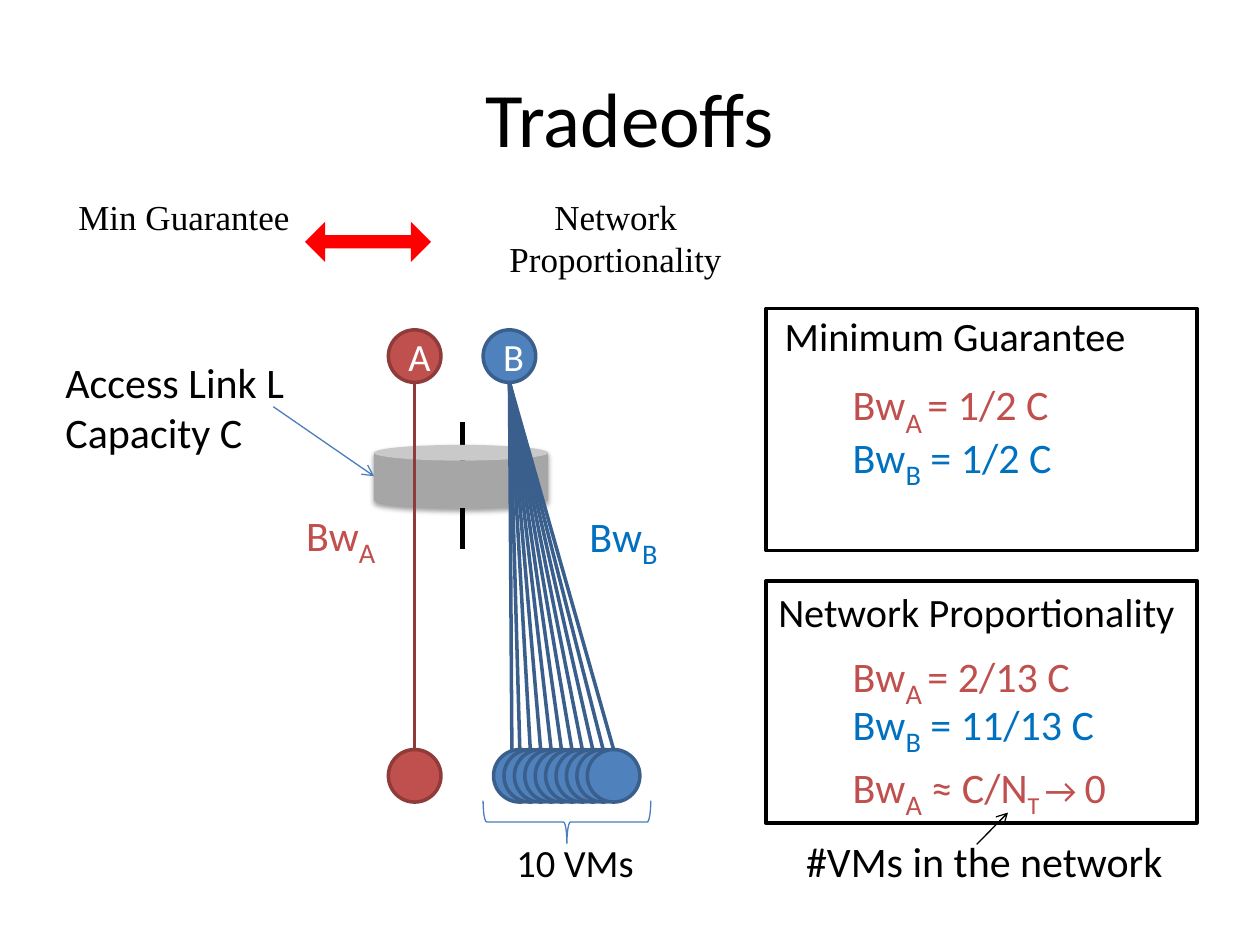
"""Build the Tradeoffs slide on sharing an access link between two tenants."""
from lxml.etree import SubElement
from pptx import Presentation
from pptx.dml.color import RGBColor
from pptx.enum.shapes import MSO_CONNECTOR, MSO_SHAPE
from pptx.enum.text import MSO_ANCHOR, PP_ALIGN
from pptx.oxml.ns import qn
from pptx.util import Cm, Pt

BLACK = RGBColor(0x00, 0x00, 0x00)
WHITE = RGBColor(0xFF, 0xFF, 0xFF)
RED = RGBColor(0xC0, 0x50, 0x4D)
DARK_RED = RGBColor(0x8E, 0x3B, 0x39)
BLUE = RGBColor(0x4F, 0x81, 0xBD)
DARK_BLUE = RGBColor(0x3A, 0x5F, 0x8C)
THIN_BLUE = RGBColor(0x4B, 0x7E, 0xBC)
TEXT_BLUE = RGBColor(0x00, 0x70, 0xC0)
GRAY = RGBColor(0xA6, 0xA6, 0xA6)
ARROW_RED = RGBColor(0xFF, 0x00, 0x00)

BW_A = [("Bw", 24, 0), ("A", 28, -25)]
BW_B = [("Bw", 24, 0), ("B", 28, -25)]
GAP = (" ", 24, -25)

SERIF = {"size": 20, "font": "Times New Roman", "align": PP_ALIGN.CENTER}
CAPTIONS = [
    ("Tradeoffs", (1.27, 0.76, 22.86, 3.18),
     {"size": 44, "align": PP_ALIGN.CENTER, "anchor": MSO_ANCHOR.MIDDLE}),
    ("Min Guarantee", (1.27, 3.81, 4.88, 1.96), SERIF),
    ("Network Proportionality", (8.89, 3.81, 7.04, 1.96), SERIF),
    ("Access Link L\nCapacity C", (1.07, 7.06, 5.28, 2.31), {}),
    ("10 VMs", (10.16, 16.79, 2.97, 1.19), {"size": 22}),
    ("#VMs in the network", (16, 16.71, 8.97, 1.27), {}),
]
LINK_LABELS = [
    (BW_A, (5.92, 10.01, 1.98, 1.45), RED),
    (BW_B, (11.63, 10.03, 1.96, 1.45), TEXT_BLUE),
]
POLICIES = [
    ("Minimum Guarantee", 6.22, (15.57, 6.15, 8.33, 1.24), [
        (BW_A + [GAP, ("= 1/2 C", 24, 0)], 7.37, 4.55, RED),
        (BW_B + [(" = 1/2 C", 24, 0)], 8.43, 4.6, TEXT_BLUE),
    ]),
    ("Network Proportionality", 11.71, (15.44, 11.71, 8.76, 1.24), [
        (BW_A + [GAP, ("= 2/13 C", 24, 0)], 12.85, 4.98, RED),
        (BW_B + [(" = 11/13 C", 24, 0)], 13.82, 5.46, TEXT_BLUE),
        (BW_A + [(" ≈ C/N", 24, 0), ("T ", 24, -25), ("→ ", 20, 0), ("0", 24, 0)],
         15.09, 6.78, RED),
    ]),
]
POLICY_LEFT, POLICY_WIDTH, POLICY_HEIGHT = 15.44, 8.69, 4.88
FORMULA_LEFT, FORMULA_HEIGHT = 16.94, 1.27

NODE = 1.06
SENDER_TOP, RECEIVER_TOP = 6.65, 15.11
A_LEFT, B_LEFT = 7.83, 9.74
VM_COUNT, VM_LEFT, VM_STEP = 10, 9.95, 0.21


def write(frame, content, size=24, font="Calibri", color=BLACK,
          align=PP_ALIGN.LEFT, anchor=MSO_ANCHOR.TOP, wrap=True):
    frame.word_wrap = wrap
    frame.vertical_anchor = anchor
    lines = ([[(line, size, 0)] for line in content.split("\n")]
             if isinstance(content, str) else [content])
    for index, line in enumerate(lines):
        paragraph = frame.add_paragraph() if index else frame.paragraphs[0]
        paragraph.alignment = align
        for words, points, baseline in line:
            run = paragraph.add_run()
            run.text = words
            run.font.size = Pt(points)
            run.font.name = font
            run.font.color.rgb = color
            if baseline:
                run.font._element.set("baseline", str(baseline * 1000))


def add_label(slide, content, box, **style):
    write(slide.shapes.add_textbox(*map(Cm, box)).text_frame, content, **style)


def add_figure(slide, kind, box, fill=None, line=None, width=2):
    figure = slide.shapes.add_shape(kind, *map(Cm, box))
    figure.shadow.inherit = False
    if fill is None:
        figure.fill.background()
    else:
        figure.fill.solid()
        figure.fill.fore_color.rgb = fill
    if line is None:
        figure.line.fill.background()
    else:
        figure.line.color.rgb = line
        figure.line.width = Pt(width)
    return figure


def add_line(slide, start, end, color, width=2, arrow=False):
    line = slide.shapes.add_connector(
        MSO_CONNECTOR.STRAIGHT, *map(Cm, start + end))
    line.line.color.rgb = color
    line.line.width = Pt(width)
    if arrow:
        SubElement(line.line._get_or_add_ln(), qn("a:tailEnd"), type="arrow")
    SubElement(line._element.spPr, qn("a:effectLst"))


def add_node(slide, left, top, fill, line, name=""):
    node = add_figure(slide, MSO_SHAPE.OVAL, (left, top, NODE, NODE), fill, line)
    if name:
        write(node.text_frame, name, size=22, color=WHITE,
              align=PP_ALIGN.CENTER, anchor=MSO_ANCHOR.MIDDLE)


def add_access_link(slide):
    add_line(slide, (9.32, 8.51), (9.32, 11.07), BLACK, 3)
    link = add_figure(slide, MSO_SHAPE.CAN, (7.54, 8.97, 3.51, 1.27), GRAY)
    effects = link._element.spPr.find(qn("a:effectLst"))
    shadow = SubElement(effects, qn("a:outerShdw"), blurRad=str(Pt(3.1)),
                        dist=str(Pt(1.6)), dir="5400000", rotWithShape="0")
    shade = SubElement(shadow, qn("a:srgbClr"), val="000000")
    SubElement(shade, qn("a:alpha"), val="38000")


def add_tenants(slide):
    sender_bottom = SENDER_TOP + NODE
    a_center, b_center = A_LEFT + NODE / 2, B_LEFT + NODE / 2
    vm_lefts = [VM_LEFT + VM_STEP * index for index in range(VM_COUNT)]
    add_line(slide, (a_center, sender_bottom), (a_center, RECEIVER_TOP), DARK_RED)
    add_line(slide, (b_center, sender_bottom), (10.32, 15.27), DARK_BLUE)
    add_node(slide, A_LEFT, SENDER_TOP, RED, DARK_RED, "A")
    add_node(slide, B_LEFT, SENDER_TOP, BLUE, DARK_BLUE, "B")
    add_node(slide, A_LEFT, RECEIVER_TOP, RED, DARK_RED)
    for left in vm_lefts:
        add_node(slide, left, RECEIVER_TOP, BLUE, DARK_BLUE)
    for left in vm_lefts:
        add_line(slide, (b_center, sender_bottom),
                 (left + NODE / 2, RECEIVER_TOP), DARK_BLUE)
    brace = add_figure(slide, MSO_SHAPE.LEFT_BRACE, (11, 14.88, 0.86, 3.38),
                       line=THIN_BLUE, width=0.75)
    brace.rotation = 270


def main():
    deck = Presentation()
    deck.slide_width, deck.slide_height = Cm(25.4), Cm(19.05)
    slide = deck.slides.add_slide(deck.slide_layouts[6])

    add_access_link(slide)
    add_tenants(slide)
    for content, box, color in LINK_LABELS:
        add_label(slide, content, box, color=color, wrap=False)
    for heading, top, heading_box, formulas in POLICIES:
        add_figure(slide, MSO_SHAPE.RECTANGLE,
                   (POLICY_LEFT, top, POLICY_WIDTH, POLICY_HEIGHT), WHITE, BLACK)
        add_label(slide, heading, heading_box, size=23)
        for formula, formula_top, width, color in formulas:
            add_label(slide, formula,
                      (FORMULA_LEFT, formula_top, width, FORMULA_HEIGHT),
                      color=color, wrap=False)
    for content, box, style in CAPTIONS:
        add_label(slide, content, box, **style)
    tradeoff = add_figure(slide, MSO_SHAPE.LEFT_RIGHT_ARROW,
                          (6.15, 4.47, 2.54, 0.81), ARROW_RED)
    tradeoff.adjustments[0] = 0.33
    add_line(slide, (5.51, 8.2), (7.54, 9.6), THIN_BLUE, 0.75, arrow=True)
    add_line(slide, (19.69, 17.02), (20.32, 16.38), BLACK, 0.75, arrow=True)
    deck.save("out.pptx")


if __name__ == "__main__":
    main()
